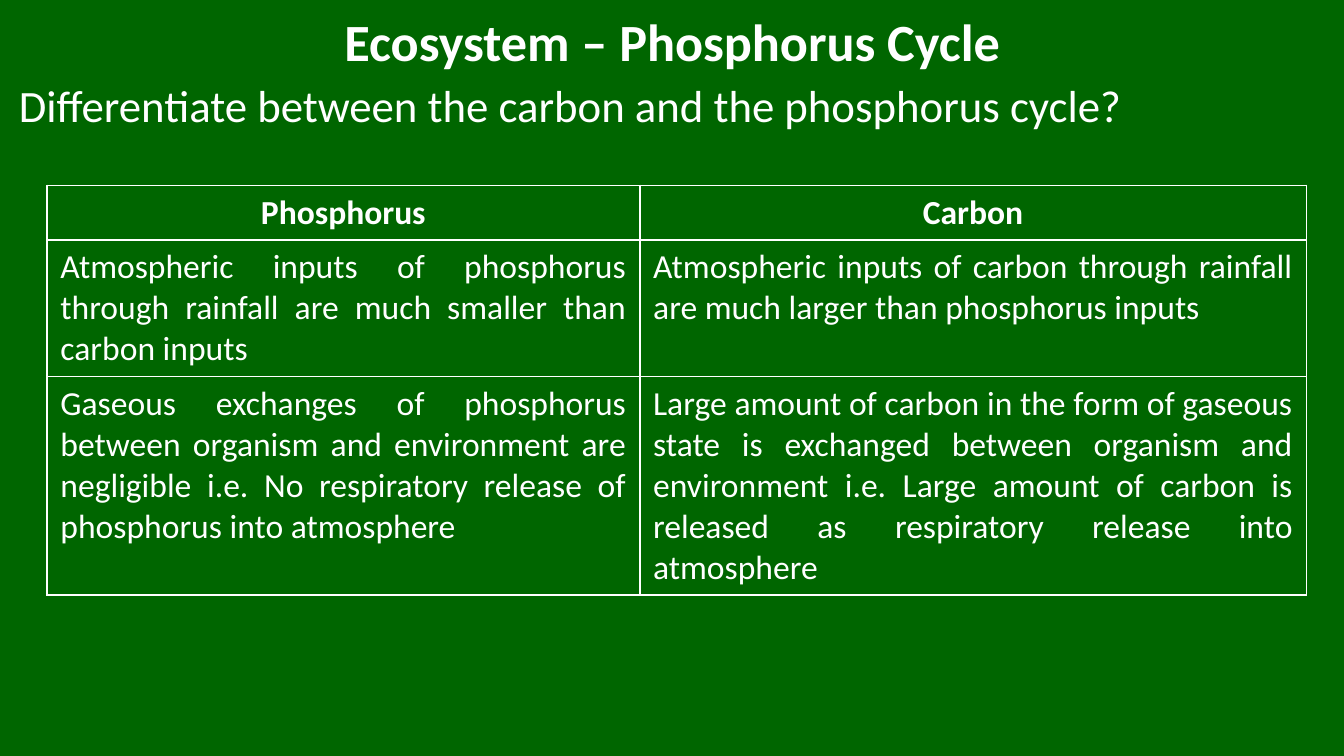
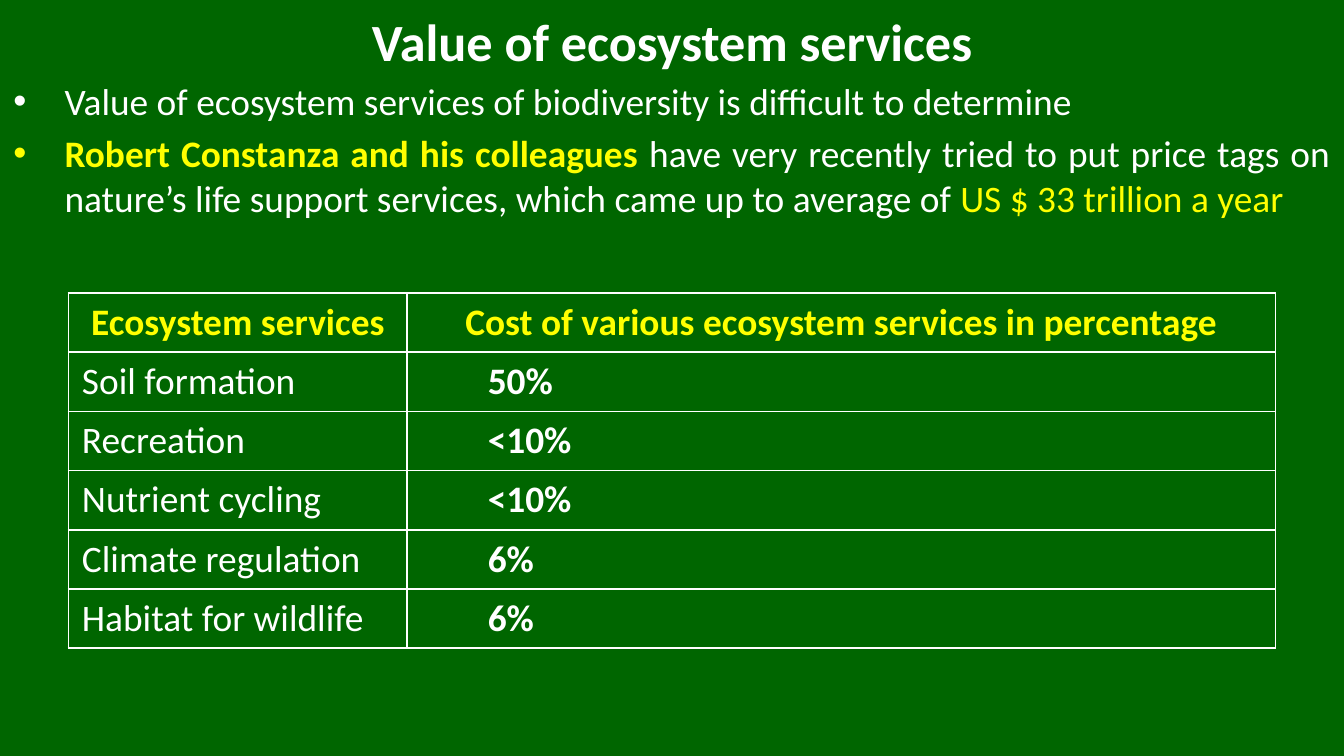
import pptx
import pptx.util
import pptx.dml.color
import pptx.enum.text
import pptx.oxml.ns
import lxml.etree

Inches, Pt = pptx.util.Inches, pptx.util.Pt
ALIGN = pptx.enum.text.PP_ALIGN
GREEN, WHITE, YELLOW = "006600", "FFFFFF", "FFFF00"


def color(hex_string):
    return pptx.dml.color.RGBColor.from_string(hex_string)


def sub(parent, tag, **attrs):
    return lxml.etree.SubElement(parent, pptx.oxml.ns.qn(tag), attrs)


def add_run(p, text, size=20, fill=WHITE, bold=False):
    r = p.add_run()
    r.text = text
    r.font.name = "Calibri"
    r.font.size = Pt(size)
    r.font.bold = bold
    r.font.color.rgb = color(fill)
    return r


class Deck:
    """Holds the shared style and the current slide."""

    def __init__(self):
        self.prs = pptx.Presentation()
        # Widescreen, 16:9
        self.prs.slide_width = Inches(10)
        self.prs.slide_height = Inches(10) * 9 // 16
        bg = self.prs.slide_master.background.fill
        bg.solid()
        bg.fore_color.rgb = color(GREEN)

    def place(self, sp, left, top, width, height):
        sp.left, sp.top = Inches(left), Inches(top)
        sp.width, sp.height = Inches(width), Inches(height)
        tf = sp.text_frame
        tf.word_wrap = True
        tf.auto_size = pptx.enum.text.MSO_AUTO_SIZE.NONE
        return tf

    def slide(self, title):
        self.s = self.prs.slides.add_slide(self.prs.slide_layouts[1])
        tf = self.place(self.s.shapes.title, 0.5, -0.01, 9, 0.62)
        tf.vertical_anchor = pptx.enum.text.MSO_ANCHOR.MIDDLE
        p = tf.paragraphs[0]
        p.alignment = ALIGN.CENTER
        add_run(p, title, size=28, bold=True)

    def body(self, box, paragraphs, size, align=ALIGN.LEFT, bullet=None):
        """Each paragraph is a list of (text, format) pairs."""
        tf = self.place(self.s.placeholders[1], *box)
        for i, runs in enumerate(paragraphs):
            p = tf.add_paragraph() if i else tf.paragraphs[0]
            p.alignment = align
            p.space_before = Pt(0.2 * size)
            pPr = p._p.get_or_add_pPr()
            pPr.set("marL", str(Inches(0.38)))
            pPr.set("indent", str(-Inches(0.38)))
            if bullet:
                sub(pPr, "a:buChar", char=bullet)
            else:
                sub(pPr, "a:buNone")
            for text, style in runs:
                add_run(p, text, size=size, **style)

    def border(self, cell):
        tcPr = cell._tc.get_or_add_tcPr()
        for i, side in enumerate("LRTB"):
            ln = sub(tcPr, "a:ln" + side, w=str(Pt(1)))
            sub(sub(ln, "a:solidFill"), "a:srgbClr", val=WHITE)
            tcPr.insert(i, ln)

    def table(self, left, top, widths, heights, rows, size, header_fill, styles):
        """The first row is the header; styles has one dict per body column."""
        frame = self.s.shapes.add_table(
            len(rows), len(widths), Inches(left), Inches(top),
            Inches(sum(widths)), Inches(sum(heights)))
        table = frame.table
        table.first_row = table.horz_banding = False
        for column, width in zip(table.columns, widths):
            column.width = Inches(width)
        for row, height in zip(table.rows, heights):
            row.height = Inches(height)
        header = dict(align=ALIGN.CENTER, bold=True, fill=header_fill)
        for i, texts in enumerate(rows):
            for j, text in enumerate(texts):
                style = dict(styles[j] if i else header)
                cell = table.cell(i, j)
                cell.fill.background()
                self.border(cell)
                p = cell.text_frame.paragraphs[0]
                p.alignment = style.pop("align", ALIGN.LEFT)
                p.level = style.pop("level", 0)
                if p.level:
                    p._p.get_or_add_pPr().set("marL", str(Inches(0.5 * p.level)))
                add_run(p, text, size=size, **style)


def main():
    deck = Deck()

    # Phosphorus and carbon compared
    deck.slide("Ecosystem – Phosphorus Cycle")
    deck.body((0.04, 0.53, 10, 0.55), [
        [("Differentiate between the carbon and the phosphorus cycle?", {})],
    ], size=24)
    deck.table(0.35, 1.38, [4.41, 4.96], [0.38, 0.91, 1.23], [
        ("Phosphorus", "Carbon"),
        ("Atmospheric inputs of phosphorus through rainfall are much smaller "
         "than carbon inputs",
         "Atmospheric inputs of carbon through rainfall are much larger "
         "than phosphorus inputs"),
        ("Gaseous exchanges of phosphorus between organism and environment are "
         "negligible i.e. No respiratory release of phosphorus into atmosphere",
         "Large amount of carbon in the form of gaseous state is exchanged "
         "between organism and environment i.e. Large amount of carbon is "
         "released as respiratory release into atmosphere"),
    ], size=18, header_fill=WHITE, styles=[dict(align=ALIGN.JUSTIFY)] * 2)

    # Ecosystem services and their cost
    deck.slide("Value of ecosystem services")
    deck.body((0, 0.53, 10, 5.1), [
        [("Value of ecosystem services of biodiversity is difficult to determine", {})],
        [("Robert Constanza and his colleagues ", dict(fill=YELLOW, bold=True)),
         ("have very recently tried to put price tags on nature’s life support "
          "services, which came up to average of ", {}),
         ("US $ 33 trillion a year", dict(fill=YELLOW))],
    ], size=20, align=ALIGN.JUSTIFY, bullet="•")
    services = [
        ("Ecosystem services", "Cost of various ecosystem services in percentage"),
        ("Soil formation", "50%"),
        ("Recreation", "<10%"),
        ("Nutrient cycling", "<10%"),
        ("Climate regulation", "6%"),
        ("Habitat for wildlife", "6%"),
    ]
    deck.table(0.51, 2.18, [2.52, 6.46], [0.41] * len(services), services,
               size=20, header_fill=YELLOW, styles=[{}, dict(bold=True, level=1)])

    deck.prs.save("out.pptx")


if __name__ == "__main__":
    main()
